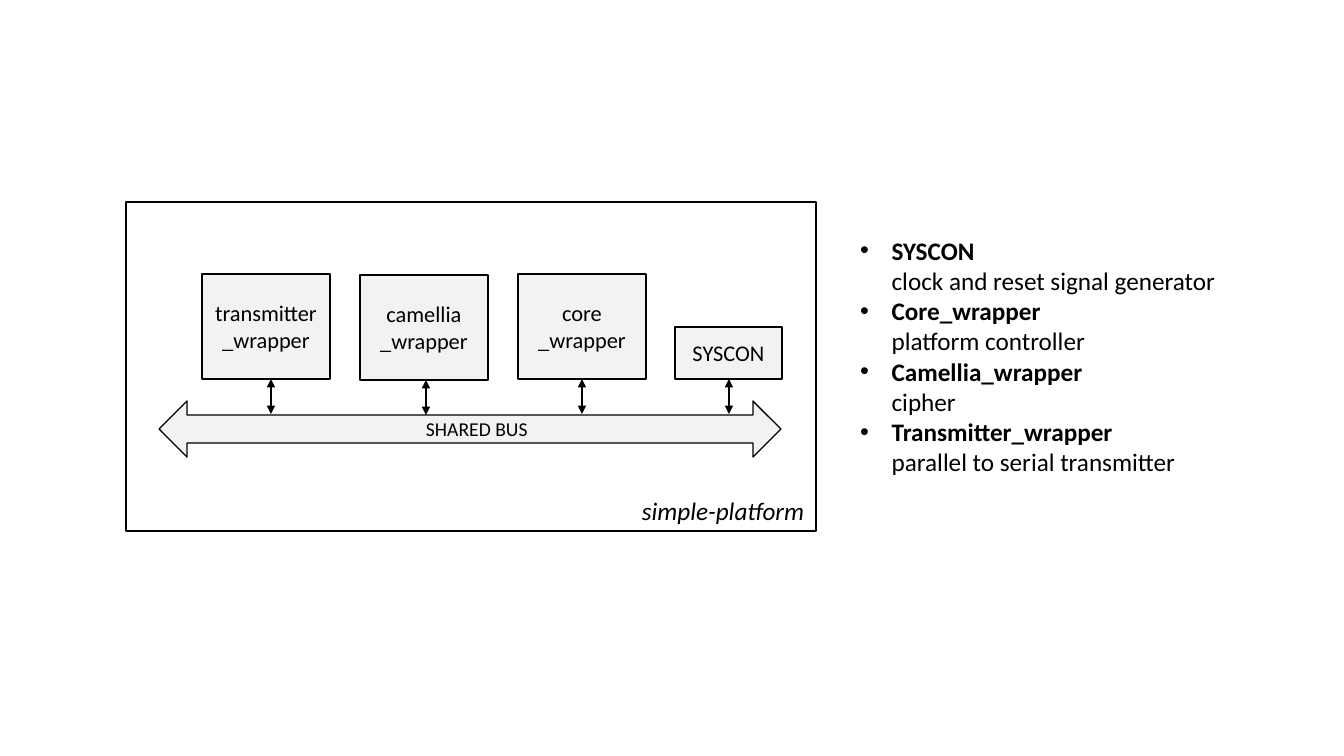
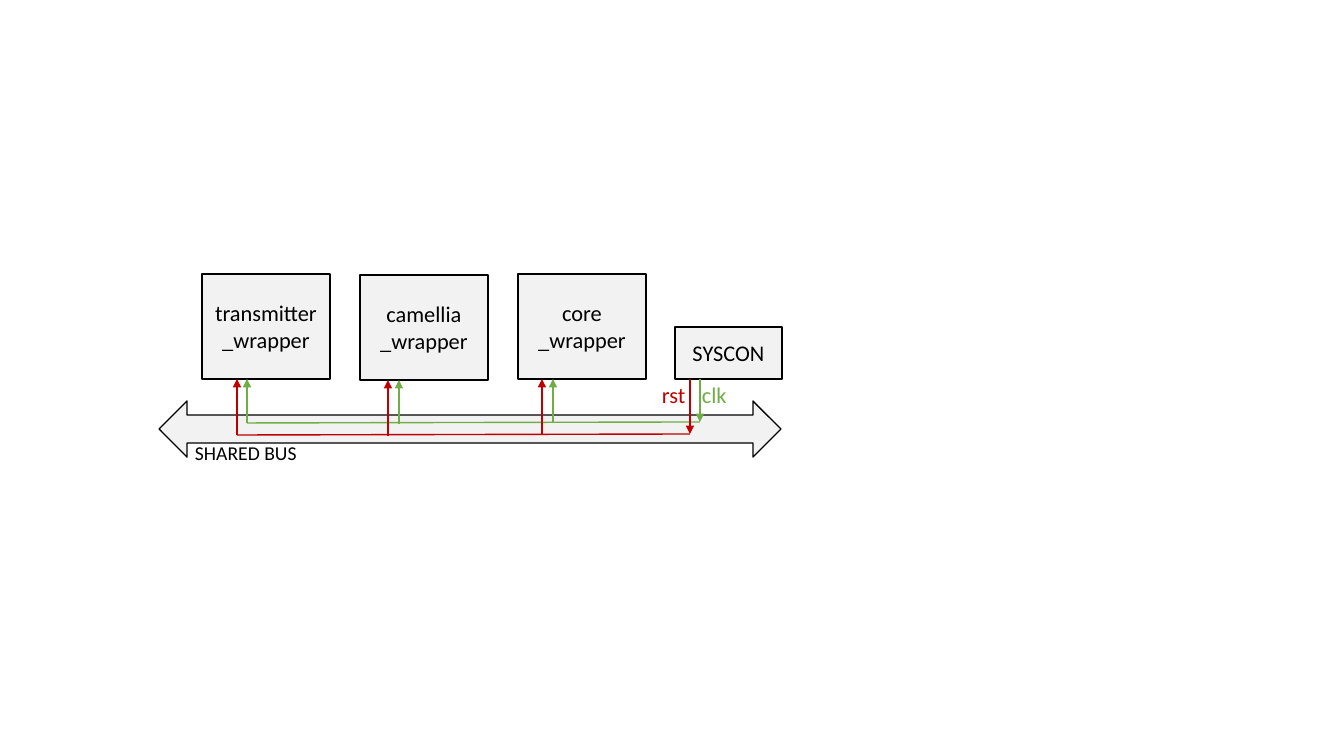
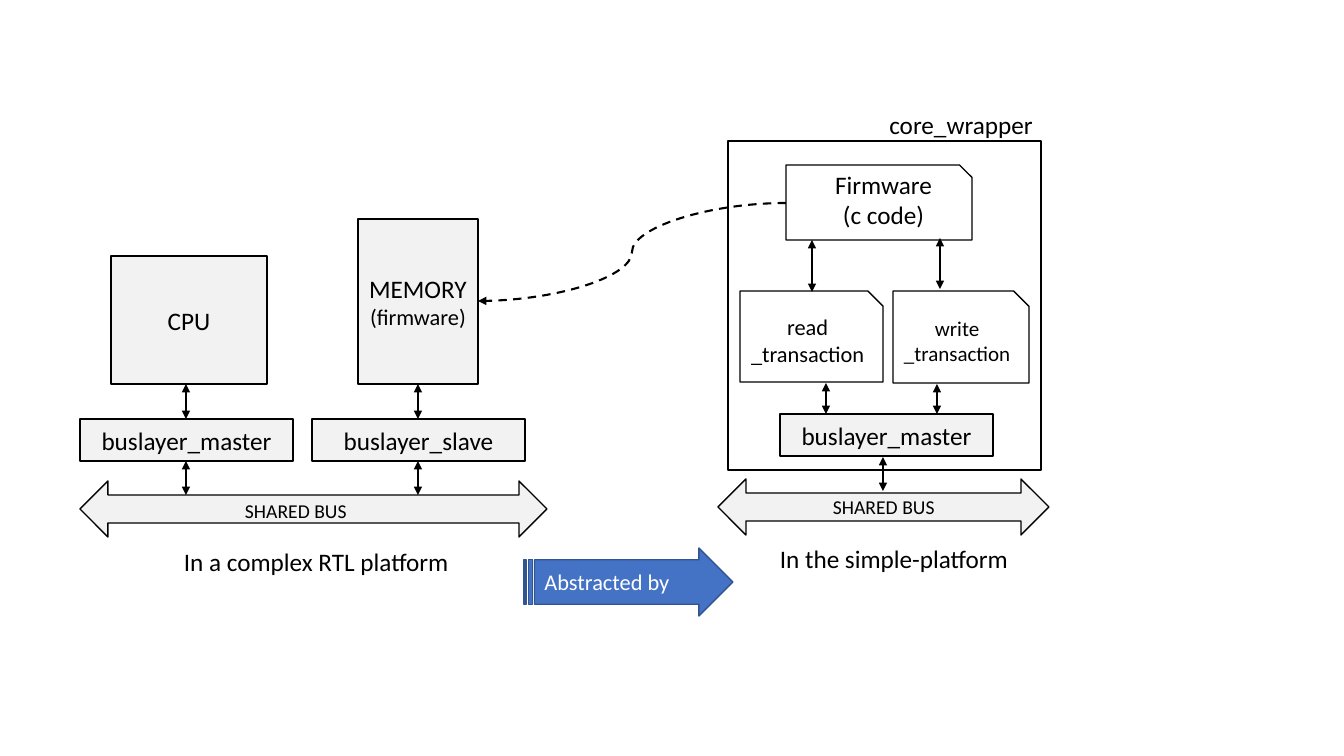
from dataclasses import dataclass

from lxml import etree
from pptx import Presentation
from pptx.dml.color import RGBColor
from pptx.enum.dml import MSO_LINE
from pptx.enum.shapes import MSO_CONNECTOR, MSO_SHAPE
from pptx.enum.text import MSO_ANCHOR, MSO_AUTO_SIZE, PP_ALIGN
from pptx.oxml.ns import qn
from pptx.util import Emu, Pt

RECT = MSO_SHAPE.RECTANGLE
SNIP = MSO_SHAPE.SNIP_1_RECTANGLE
BUS_ARROW = MSO_SHAPE.LEFT_RIGHT_ARROW
STRIPED_ARROW = MSO_SHAPE.STRIPED_RIGHT_ARROW
STRAIGHT = MSO_CONNECTOR.STRAIGHT
CURVE = MSO_CONNECTOR.CURVE
DASH = MSO_LINE.DASH
LEFT, CENTER = PP_ALIGN.LEFT, PP_ALIGN.CENTER
MIDDLE, TOP = MSO_ANCHOR.MIDDLE, MSO_ANCHOR.TOP
NO_FIT, GROW = MSO_AUTO_SIZE.NONE, MSO_AUTO_SIZE.SHAPE_TO_FIT_TEXT

PX_PER_INCH = 100.8
FONT = "Calibri"
BLACK, WHITE, GREY = "000000", "FFFFFF", "F2F2F2"
GREEN, RED, BLUE, NAVY = "70AD47", "C00000", "4472C4", "325491"
LIST_LAYOUT, BLANK_LAYOUT = 1, 6


@dataclass(frozen=True)
class Box:
    """A labelled shape, in pixels."""
    text: str
    x: int
    y: int
    w: int
    h: int
    size: int = 16
    fill: str | None = GREY
    kind: int = RECT


@dataclass(frozen=True)
class Label:
    """Free text, in pixels."""
    text: str
    x: int
    y: int
    w: int
    h: int
    size: int = 18
    color: str = BLACK
    italic: bool = False
    align: int = LEFT
    wrap: bool = False


@dataclass(frozen=True)
class Signal:
    """A wire from SYSCON to every wrapper."""
    color: str
    source_x: int
    taps: tuple[int, ...]
    drop: int
    label: Label


WRAPPERS = [Box(text, 202 + 158 * i, y, 128, 105) for i, (text, y) in enumerate(
    [("transmitter_wrapper", 274), ("camellia\n_wrapper", 275), ("core\n_wrapper", 274)])]
SYSCON = Box("SYSCON", 675, 327, 107, 52)
BLOCKS = [*WRAPPERS, SYSCON]
BLOCK_TAPS = (271, 426, 582, 729)
SIGNALS = [
    Signal(GREEN, 700, (247, 399, 553), 44, Label("clk", 692, 376, 45, 37, 16, GREEN)),
    Signal(RED, 690, (237, 388, 542), 56, Label("rst", 652, 376, 44, 37, 16, RED)),
]
DESCRIPTIONS = [
    ("SYSCON", "clock and reset signal generator"),
    ("Core_wrapper", "platform controller"),
    ("Camellia_wrapper", "cipher"),
    ("Transmitter_wrapper", "parallel to serial transmitter"),
]


def px(n: float) -> Emu:
    """Convert pixels to EMU."""
    return Emu(round(n * 914400 / PX_PER_INCH))


def rgb(color: str) -> RGBColor:
    """Turn a hex string into a colour."""
    return RGBColor.from_string(color)


def add_text(p, text: str, *, size: int = 18, color: str = BLACK, bold: bool = False,
             italic: bool = False, align: int = LEFT) -> None:
    """Append formatted text to a paragraph; a newline is a line break."""
    p.alignment = align
    for i, part in enumerate(text.split("\n")):
        if i:
            p.add_line_break()
            etree.SubElement(p._p[-1], qn("a:rPr"), sz=str(size * 100))
        if part:
            r = p.add_run()
            r.text = part
            f = r.font
            f.name, f.size, f.bold, f.italic = FONT, Pt(size), bold, italic
            f.color.rgb = rgb(color)


def add_box(s, box: Box, *, line: str = BLACK, color: str = BLACK, align: int = CENTER):
    """Draw an outlined shape with its text and return it."""
    sp = s.shapes.add_shape(box.kind, px(box.x), px(box.y), px(box.w), px(box.h))
    sp.shadow.inherit = False
    if box.fill:
        sp.fill.solid()
        sp.fill.fore_color.rgb = rgb(box.fill)
    else:
        sp.fill.background()
    sp.line.color.rgb = rgb(line)
    sp.line.width = Pt(1)
    tf = sp.text_frame
    tf.word_wrap = True
    tf.vertical_anchor = MIDDLE
    add_text(tf.paragraphs[0], box.text, size=box.size, color=color, align=align)
    return sp


def add_label(s, label: Label) -> None:
    """Draw a text box that grows with its text."""
    sp = s.shapes.add_textbox(px(label.x), px(label.y), px(label.w), px(label.h))
    tf = sp.text_frame
    tf.word_wrap = label.wrap
    tf.auto_size = GROW
    add_text(tf.paragraphs[0], label.text, size=label.size, color=label.color,
             italic=label.italic, align=label.align)


def add_line(s, x1: int, y1: int, x2: int, y2: int, *, color: str = BLACK, head: bool = False,
             tail: bool = False, kind: int = STRAIGHT, width: float = 1, dash: int | None = None) -> None:
    """Draw a connector with optional arrowheads at its start and end."""
    c = s.shapes.add_connector(kind, px(x1), px(y1), px(x2), px(y2))
    c.line.color.rgb = rgb(color)
    c.line.width = Pt(width)
    if dash is not None:
        c.line.dash_style = dash
    ln = c.line._get_or_add_ln()
    for tag, shown in (("a:headEnd", head), ("a:tailEnd", tail)):
        if shown:
            etree.SubElement(ln, qn(tag), type="triangle")
    etree.SubElement(c._element.spPr, qn("a:effectLst"))


def add_link(s, x: int, bottom: int, top: int) -> None:
    """Draw a vertical two-way arrow."""
    add_line(s, x, bottom, x, top, head=True, tail=True)


def add_bus(s, x: int, y: int, w: int, label_x: int, label_y: int) -> None:
    """Draw the shared bus and its label."""
    add_box(s, Box("", x, y, w, 56, kind=BUS_ARROW))
    add_label(s, Label("SHARED BUS", label_x, label_y, 161, 34, 14, wrap=True))


def add_platform(s, label_x: int, label_y: int) -> None:
    """Draw the four blocks above their bus."""
    add_bus(s, 159, 401, 622, label_x, label_y)
    for box in BLOCKS:
        add_box(s, box)


def add_descriptions(s) -> None:
    """Fill the body placeholder with the block descriptions."""
    title = s.shapes.title._element
    title.getparent().remove(title)
    sp = s.placeholders[1]
    sp.left, sp.top, sp.width, sp.height = px(850), px(230), px(391), px(254)
    tf = sp.text_frame
    tf.auto_size = NO_FIT
    tf.vertical_anchor = TOP
    for i, (name, role) in enumerate(DESCRIPTIONS):
        p = tf.add_paragraph() if i else tf.paragraphs[0]
        p.space_before = Pt(0)
        add_text(p, f"{name}\n", bold=True)
        add_text(p, role)
        pPr = p._p.get_or_add_pPr()
        pPr.set("marL", str(px(31.5)))
        pPr.set("indent", str(-px(31.5)))
        etree.SubElement(pPr, qn("a:buFont"), typeface="Arial")
        etree.SubElement(pPr, qn("a:buChar"), char="•")


def build_overview(prs) -> None:
    """Slide 1: the platform and what its blocks do."""
    s = prs.slides.add_slide(prs.slide_layouts[LIST_LAYOUT])
    add_descriptions(s)
    add_platform(s, 416, 412)
    for x, box in zip(BLOCK_TAPS, BLOCKS):
        bottom = box.y + box.h
        add_link(s, x, bottom + 35, bottom)
    add_box(s, Box("", 126, 202, 690, 329, fill=None))
    add_label(s, Label("simple-platform", 632, 490, 184, 40, italic=True))


def build_signals(prs) -> None:
    """Slide 2: clock and reset wiring."""
    s = prs.slides.add_slide(prs.slide_layouts[BLANK_LAYOUT])
    add_platform(s, 185, 436)
    syscon_bottom = SYSCON.y + SYSCON.h
    for sig in SIGNALS:
        trunk = syscon_bottom + sig.drop
        for x, box in zip(sig.taps, WRAPPERS):
            bottom = box.y + box.h
            add_line(s, x, bottom + sig.drop, x, bottom, color=sig.color, tail=True)
        add_line(s, sig.source_x, syscon_bottom, sig.source_x, trunk - 1, color=sig.color, tail=True)
        add_line(s, sig.taps[0], trunk, sig.source_x, trunk - 1, color=sig.color)
        add_label(s, sig.label)


def build_abstraction(prs) -> None:
    """Slide 3: a complex platform beside its abstraction."""
    s = prs.slides.add_slide(prs.slide_layouts[BLANK_LAYOUT])
    arrow = add_box(s, Box("Abstracted by", 524, 548, 209, 68, fill=BLUE, kind=STRIPED_ARROW),
                    line=NAVY, color=WHITE, align=LEFT)
    arrow.adjustments[0], arrow.adjustments[1] = 0.654, 0.5

    add_bus(s, 80, 481, 467, 235, 494)
    add_box(s, Box("CPU", 111, 256, 156, 128, 18))
    memory = add_box(s, Box("MEMORY", 358, 219, 120, 165, 18))
    add_text(memory.text_frame.paragraphs[0], "\n(firmware)", size=16, align=CENTER)
    for text, x, link_x in (("buslayer_master", 80, 186), ("buslayer_slave", 312, 418)):
        add_box(s, Box(text, x, 419, 213, 42, 18))
        add_link(s, link_x, 419, 384)
        add_link(s, link_x, 495, 461)

    add_box(s, Box("", 728, 141, 313, 329, fill=WHITE))
    for box in (
        Box("buslayer_master", 780, 414, 213, 42, 18),
        Box("read\n_transaction", 740, 291, 143, 91, 16, WHITE, SNIP),
        Box("write\n_transaction", 893, 291, 136, 92, 15, WHITE, SNIP),
        Box("", 786, 165, 186, 75, 18, WHITE, SNIP),
    ):
        add_box(s, box)
    add_bus(s, 718, 479, 331, 823, 490)
    for x, bottom, top in ((826, 414, 383), (937, 414, 384), (883, 491, 457),
                           (812, 292, 240), (940, 289, 238)):
        add_link(s, x, bottom, top)
    for label in (
        Label("core_wrapper", 879, 104, 164, 40, align=CENTER),
        Label("Firmware\n(c code)", 825, 164, 117, 72, align=CENTER),
        Label("In a complex RTL platform", 174, 541, 285, 40),
        Label("In the simple-platform", 770, 538, 252, 40),
    ):
        add_label(s, label)
    add_line(s, 786, 203, 478, 301, tail=True, kind=CURVE, width=1.5, dash=DASH)


def main() -> None:
    """Build and save the presentation."""
    prs = Presentation()
    prs.slide_width, prs.slide_height = px(1344), px(756)
    build_overview(prs)
    build_signals(prs)
    build_abstraction(prs)
    prs.save("out.pptx")


main()
